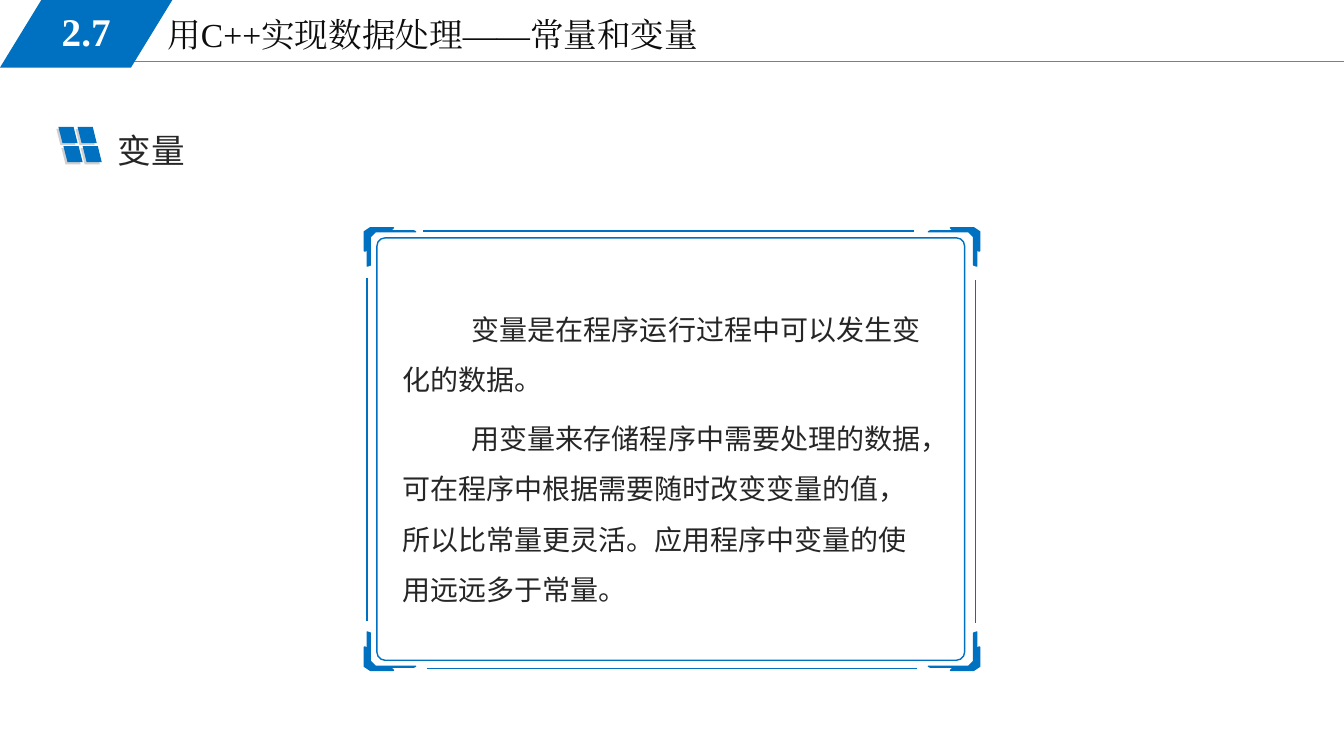
from pptx import Presentation
from pptx.dml.color import RGBColor
from pptx.enum.shapes import MSO_CONNECTOR, MSO_SHAPE
from pptx.enum.text import MSO_ANCHOR, MSO_AUTO_SIZE, PP_ALIGN
from pptx.oxml.ns import qn
from pptx.util import Inches, Pt

STRAIGHT = MSO_CONNECTOR.STRAIGHT
PARALLELOGRAM = MSO_SHAPE.PARALLELOGRAM
ROUNDED = MSO_SHAPE.ROUNDED_RECTANGLE
TOP, MIDDLE = MSO_ANCHOR.TOP, MSO_ANCHOR.MIDDLE
LEFT, CENTER = PP_ALIGN.LEFT, PP_ALIGN.CENTER

WIDTH, HEIGHT = Inches(13.333), Inches(7.5)
COLUMNS, ROWS = 160, 90
COLORS = {"blue": "0070C0", "shade": "D0CECE", "rule": "7F7F7F",
          "title": "0D0D0D", "text": "262626", "white": "FFFFFF"}
SERIF, SANS = "Times New Roman", "Noto Sans CJK SC"

FRAME_LEFT, FRAME_RIGHT, FRAME_TOP, FRAME_BOTTOM = 43.36, 116.64, 27.12, 79.8
# Corner bracket, measured inwards from a corner of the frame
BRACKET = [(0.72, 0), (3.48, 0), (3.12, 0.36), (5.88, 0.36), (6.12, 0.48),
           (1.32, 0.48), (0.72, 1.08), (0.72, 4.44), (0.36, 4.56),
           (0.36, 2.52), (0.12, 2.76), (0, 2.76), (0, 0.48)]
FRAME_EDGES = [(50.4, 27.48, 108.84, 27.48), (50.88, 79.56, 109.2, 79.56),
               (43.68, 33.12, 43.68, 73.92), (116.16, 33.36, 116.16, 74.16)]
DEFINITION = [
    "变量是在程序运行过程中可以发生变化的数据。",
    "用变量来存储程序中需要处理的数据，可在程序中根据需要随时改变变量的值，"
    "所以比常量更灵活。应用程序中变量的使用远远多于常量。",
]


def col(x):
    return round(WIDTH * x / COLUMNS)


def row(y):
    return round(HEIGHT * y / ROWS)


def area(x, y, width, height):
    return col(x), row(y), col(width), row(height)


def color(name):
    return RGBColor.from_string(COLORS[name])


def place(placeholder, x, y, width, height):
    placeholder.left, placeholder.top, placeholder.width, placeholder.height = area(
        x, y, width, height)
    return placeholder


def write(box, *texts, size, ink, font=SANS, bold=False, align=LEFT, anchor=TOP,
          indent=0, line=None, gap=0):
    """Fill a box with one paragraph per text."""
    frame = box.text_frame
    frame.word_wrap = True
    frame.auto_size = MSO_AUTO_SIZE.NONE
    frame.vertical_anchor = anchor
    for number, text in enumerate(texts):
        paragraph = frame.add_paragraph() if number else frame.paragraphs[0]
        paragraph.alignment = align
        paragraph.space_before = Pt(gap if number else 0)
        if line:
            paragraph.line_spacing = Pt(line)
        properties = paragraph._p.get_or_add_pPr()
        properties.set("marL", "0")
        properties.set("indent", str(col(indent)))
        properties.append(properties.makeelement(qn("a:buNone"), {}))
        run = paragraph.add_run()
        run.text = text
        run.font.size, run.font.bold, run.font.name = Pt(size), bold, font
        run.font.color.rgb = color(ink)
        east_asian = run.font._element.makeelement(qn("a:ea"), {"typeface": font})
        run.font._element.find(qn("a:latin")).addnext(east_asian)


def add_line(shapes, x1, y1, x2, y2, ink, weight):
    line = shapes.add_connector(STRAIGHT, col(x1), row(y1), col(x2), row(y2))
    line.line.color.rgb = color(ink)
    line.line.width = Pt(weight)
    properties = line.element.spPr
    properties.append(properties.makeelement(qn("a:effectLst"), {}))


def paint(shape, fill=None, outline=None):
    shape.shadow.inherit = False
    if fill:
        shape.fill.solid()
        shape.fill.fore_color.rgb = color(fill)
    else:
        shape.fill.background()
    if outline:
        shape.line.color.rgb = color(outline)
        shape.line.width = Pt(1)
    else:
        shape.line.fill.background()


def add_bracket(shapes, x, y, across, down):
    """Draw the corner bracket at x, y; across and down are 1 or -1."""
    points = [(col(x + across * dx), row(y + down * dy)) for dx, dy in BRACKET]
    builder = shapes.build_freeform(*points[0], scale=1.0)
    builder.add_line_segments(points[1:], close=True)
    paint(builder.convert_to_shape(), "blue", "blue")


def add_frame(slide):
    shapes = slide.shapes.add_group_shape().shapes
    for x, across in ((FRAME_LEFT, 1), (FRAME_RIGHT, -1)):
        for y, down in ((FRAME_TOP, 1), (FRAME_BOTTOM, -1)):
            add_bracket(shapes, x, y, across, down)
    panel = shapes.add_shape(ROUNDED, *area(44.88, 28.32, 69.96, 50.28))
    panel.adjustments[0] = 0.019
    paint(panel, outline="blue")
    for edge in FRAME_EDGES:
        add_line(shapes, *edge, "blue", 1)


def add_heading(slide, text):
    """Add the four slanted tiles with their shade, and the heading beside them."""
    shapes = slide.shapes.add_group_shape().shapes
    for fill, x, y in (("shade", 6.72, 15.36), ("blue", 6.96, 15.12)):
        for tile_row in range(2):
            for tile_col in range(2):
                tile = shapes.add_shape(PARALLELOGRAM, *area(
                    x + 2.28 * tile_col + 0.6 * tile_row,
                    y + 2.28 * tile_row, 2.28, 1.92))
                tile.element.spPr.find(qn("a:xfrm")).set("flipH", "1")
                paint(tile, fill)
    heading = shapes.add_textbox(*area(12.84, 14.28, 47.28, 6.12))
    write(heading, text, size=24, ink="text", line=32)


def add_header(slide, number, title):
    add_line(slide.shapes, 13.56, 7.32, COLUMNS, 7.32, "rule", 0.75)
    write(place(slide.shapes.title, 18.72, 1.08, 68.04, 6.12), title,
          size=24, ink="title", font=SERIF)
    badge = slide.shapes.add_shape(PARALLELOGRAM, *area(0, 0, 20.52, 8.04))
    badge.adjustments[0] = 0.612
    paint(badge, "blue")
    section = slide.shapes.add_textbox(*area(3, 0.24, 14.52, 6.96))
    write(section, number, size=28, ink="white", font=SERIF, bold=True,
          align=CENTER, anchor=MIDDLE)


def main():
    deck = Presentation()
    deck.slide_width, deck.slide_height = WIDTH, HEIGHT
    slide = deck.slides.add_slide(deck.slide_layouts[1])
    add_header(slide, "2.7", "用C++实现数据处理——常量和变量")
    add_frame(slide)
    write(place(slide.placeholders[1], 46.68, 34.56, 65.76, 38.28), *DEFINITION,
          size=20, ink="text", indent=8.28, line=36, gap=6)
    add_heading(slide, "变量")
    deck.save("out.pptx")


if __name__ == "__main__":
    main()
